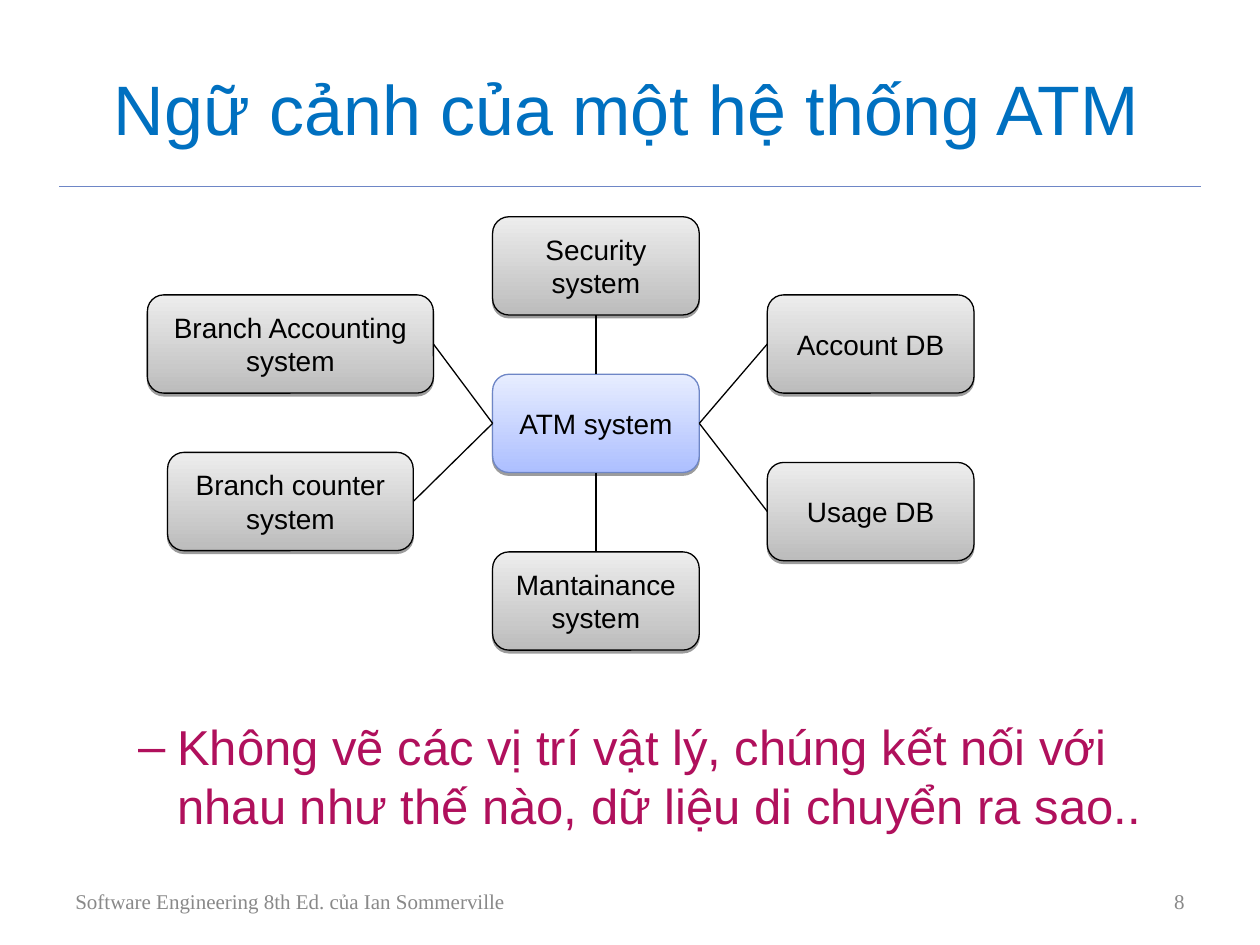
from dataclasses import dataclass

from lxml.etree import SubElement
from pptx import Presentation
from pptx.dml.color import RGBColor
from pptx.enum.shapes import MSO_CONNECTOR as Connector, MSO_SHAPE as Preset
from pptx.enum.text import MSO_ANCHOR as Anchor, MSO_AUTO_SIZE as AutoSize, PP_ALIGN as Align
from pptx.oxml.ns import qn
from pptx.shapes.autoshape import Shape
from pptx.shapes.connector import Connector as Line
from pptx.slide import Slide
from pptx.text.text import TextFrame
from pptx.util import Inches, Pt

COLORS = {
    "title": "0070C0",
    "note": "B0105C",
    "footer": "898989",
    "black": "000000",
    "rule_under": "FEB80A",
    "blue_line": "6E86C6",
    "blue_dark": "ADBFFF",
    "blue_light": "E7EDFF",
    "gray_dark": "BCBCBC",
    "gray_light": "EDEDED",
}
BOX_HEIGHT = 0.78
TOP, LEFT, BOTTOM, RIGHT = range(4)


@dataclass
class Box:
    text: str
    left: float
    top: float
    width: float = 1.64
    line: str = "black"
    dark: str = "gray_dark"
    light: str = "gray_light"


@dataclass
class Link:
    start: str
    start_side: int
    end: str
    end_side: int


BOXES = [
    Box("ATM system", 3.91, 2.97, line="blue_line", dark="blue_dark", light="blue_light"),
    Box("Account DB", 6.09, 2.34),
    Box("Usage DB", 6.09, 3.67),
    Box("Branch Accounting system", 1.17, 2.34, 2.27),
    Box("Branch counter system", 1.33, 3.59, 1.95),
    Box("Security system", 3.91, 1.72),
    Box("Mantainance system", 3.91, 4.38),
]
LINKS = [
    Link("Security system", BOTTOM, "ATM system", TOP),
    Link("ATM system", LEFT, "Branch Accounting system", RIGHT),
    Link("ATM system", LEFT, "Branch counter system", RIGHT),
    Link("ATM system", BOTTOM, "Mantainance system", TOP),
    Link("ATM system", RIGHT, "Account DB", LEFT),
    Link("ATM system", RIGHT, "Usage DB", LEFT),
]


def color(name: str) -> RGBColor:
    return RGBColor.from_string(COLORS[name])


def write(frame: TextFrame, text: str, size: int, color_name: str,
          align: Align = Align.LEFT, font_name: str = "Arial",
          anchor: Anchor = Anchor.MIDDLE) -> None:
    frame.word_wrap = True
    frame.auto_size = AutoSize.NONE
    frame.vertical_anchor = anchor
    frame.text = text
    paragraph = frame.paragraphs[0]
    paragraph.alignment = align
    font = paragraph.runs[0].font
    font.name = font_name
    font.size = Pt(size)
    font.color.rgb = color(color_name)


def add_text(slide: Slide, left: float, top: float, width: float, height: float) -> TextFrame:
    shape = slide.shapes.add_textbox(Inches(left), Inches(top), Inches(width), Inches(height))
    return shape.text_frame


def add_line(slide: Slide, color_name: str, start: tuple[float, float] = (0, 0),
             end: tuple[float, float] = (0, 0)) -> Line:
    points = [Inches(value) for value in (*start, *end)]
    line = slide.shapes.add_connector(Connector.STRAIGHT, *points)
    line.line.color.rgb = color(color_name)
    line.line.width = Pt(0.75)
    SubElement(line._element.spPr, qn("a:effectLst"))
    return line


def add_drop_shadow(shape: Shape) -> None:
    shape.shadow.inherit = False
    effects = shape._element.spPr.find(qn("a:effectLst"))
    shadow = SubElement(effects, qn("a:outerShdw"), blurRad="0", dist=str(Pt(1.6)),
                        dir="5400000", rotWithShape="0")
    shadow_color = SubElement(shadow, qn("a:srgbClr"), val=COLORS["black"])
    SubElement(shadow_color, qn("a:alpha"), val="38000")


def add_box(slide: Slide, box: Box) -> Shape:
    shape = slide.shapes.add_shape(Preset.ROUNDED_RECTANGLE, Inches(box.left), Inches(box.top),
                                   Inches(box.width), Inches(BOX_HEIGHT))
    shape.fill.gradient()
    shape.fill.gradient_angle = 90
    for stop, name, position in zip(shape.fill.gradient_stops, (box.dark, box.light), (0, 1)):
        stop.color.rgb = color(name)
        stop.position = position
    shape.line.color.rgb = color(box.line)
    shape.line.width = Pt(0.75)
    add_drop_shadow(shape)
    write(shape.text_frame, box.text, 16, "black", Align.CENTER)
    return shape


def add_title(slide: Slide) -> None:
    title = slide.shapes.title
    title.left, title.top = Inches(0.47), Inches(0.23)
    title.width, title.height = Inches(9), Inches(1.25)
    write(title.text_frame, "Ngữ cảnh của một hệ thống ATM", 40, "title", Align.CENTER)


def add_note(slide: Slide) -> None:
    frame = add_text(slide, 0.5, 5.64, 9, 1.06)
    write(frame, "Không vẽ các vị trí vật lý, chúng kết nối với nhau như thế nào, "
          "dữ liệu di chuyển ra sao..", 28, "note", anchor=Anchor.TOP)
    properties = frame.paragraphs[0]._p.get_or_add_pPr()
    properties.set("marL", str(Inches(0.81)))
    properties.set("indent", str(Inches(-0.31)))
    bullet_color = SubElement(properties, qn("a:buClr"))
    SubElement(bullet_color, qn("a:srgbClr"), val=COLORS["note"])
    SubElement(properties, qn("a:buFont"), typeface="Arial")
    SubElement(properties, qn("a:buChar"), char="–")


def main() -> None:
    presentation = Presentation()
    presentation.slide_width = Inches(10)
    presentation.slide_height = Inches(7.5)
    slide = presentation.slides.add_slide(presentation.slide_layouts[5])

    add_line(slide, "rule_under", (0.47, 1.48), (9.45, 1.48))
    add_line(slide, "blue_line", (0.47, 1.48), (9.53, 1.48))
    add_title(slide)
    add_note(slide)

    shapes = {box.text: add_box(slide, box) for box in BOXES}
    for link in LINKS:
        line = add_line(slide, "black")
        line.begin_connect(shapes[link.start], link.start_side)
        line.end_connect(shapes[link.end], link.end_side)

    write(add_text(slide, 0.5, 6.95, 6.5, 0.4),
          "Software Engineering 8th Ed. của Ian Sommerville", 12, "footer",
          font_name="Times New Roman")
    write(add_text(slide, 7.17, 6.95, 2.33, 0.4), "8", 12, "footer", Align.RIGHT,
          "Times New Roman")
    presentation.save("out.pptx")


if __name__ == "__main__":
    main()
